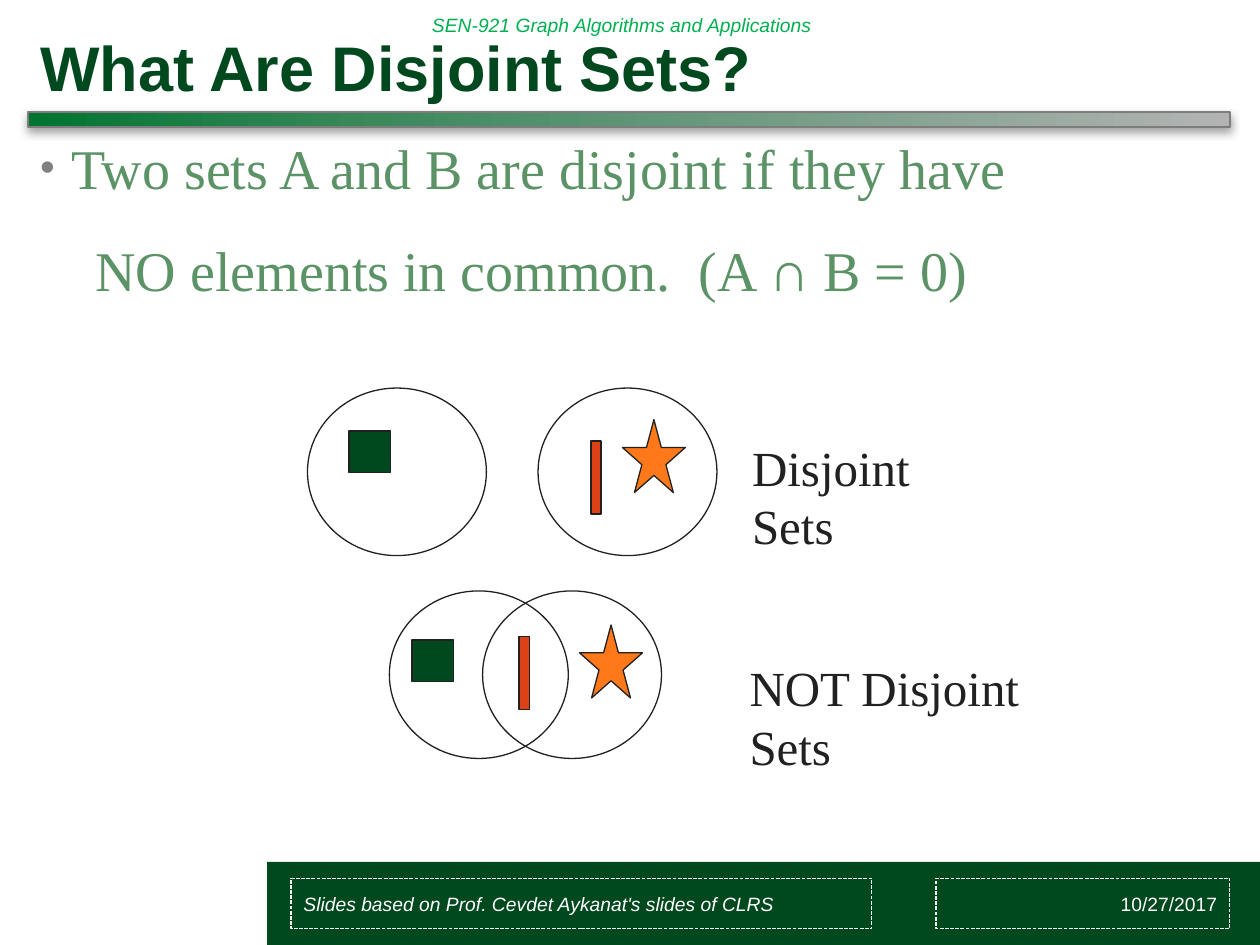
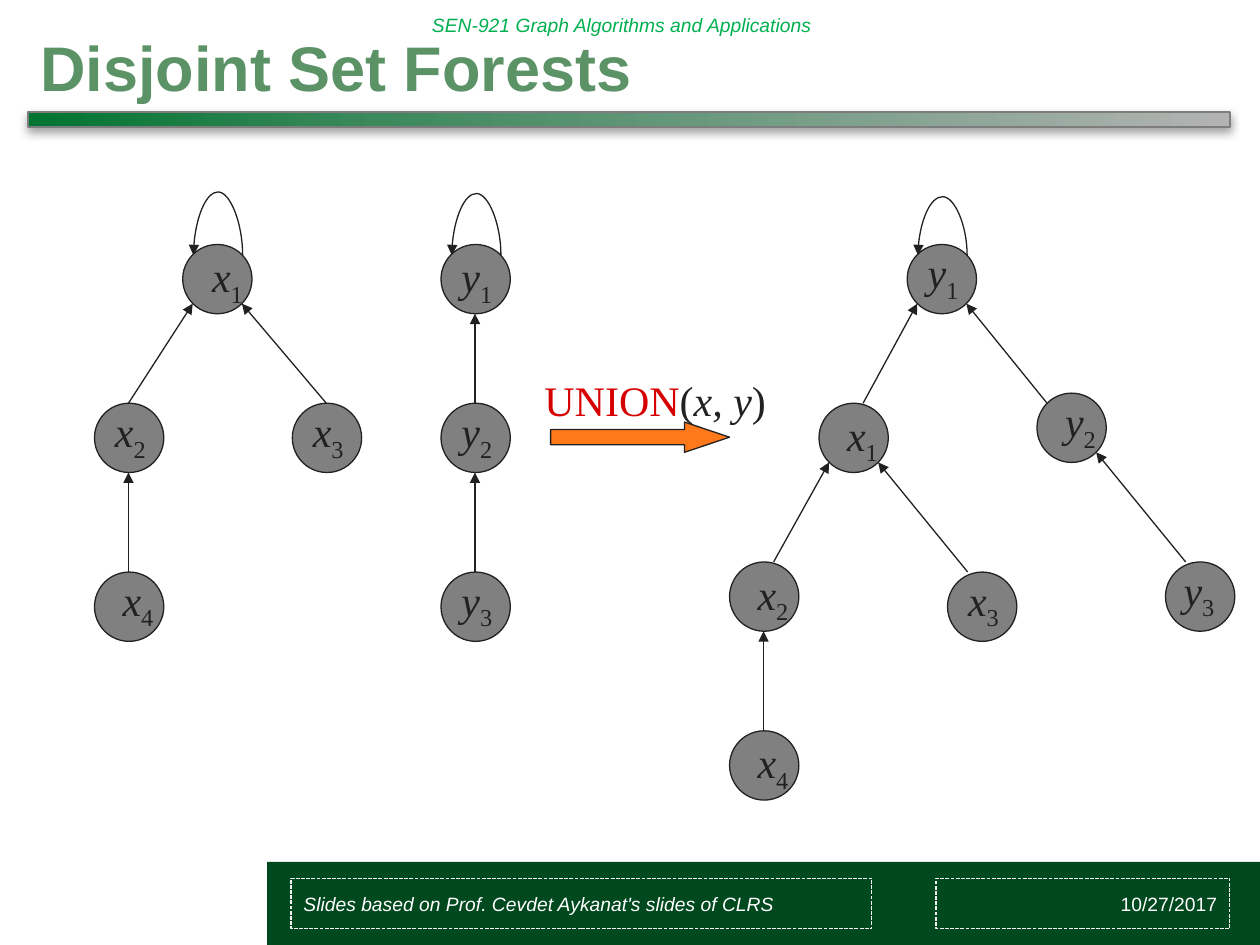
from lxml import etree
from pptx import Presentation
from pptx import util as u
from pptx.dml.color import RGBColor
from pptx.enum import dml, shapes, text
from pptx.oxml import ns

COLORS = {
    "forest": "00481E", "sage": "5B9266", "course": "00B050", "ink": "212121",
    "gray": "808080", "rule_edge": "7D7D7D", "dash": "F2F2F2", "white": "FFFFFF",
    "bar": "DD4216", "orange": "FF7819", "union": "D60000",
}
RULE_STOPS = [(0, "007430"), (29, "3C895C"), (100, "B3B3B3")]
SANS, SERIF = "Arial", "Times New Roman"
MARGIN, CONTENT_WIDTH = 0.22, 9.54
KIND = shapes.MSO_SHAPE
ALIGN = text.PP_ALIGN

NODE = 0.55
LABEL_WIDTH = 0.85
ANCHORS = {
    "top": (0.27, 0), "top right": (0.35, 0), "top left": (0.16, 0), "upper left": (0.08, 0.08),
    "bottom": (0.27, 0.55), "lower left": (0.08, 0.47), "lower right": (0.47, 0.47),
}
CENTERED, RAISED, SHIFTED, LOW = (-0.14, -0.03), (-0.08, -0.03), (-0.08, 0), (-0.14, 0)


def rgb(name):
    return RGBColor.from_string(COLORS[name])


def inches(*lengths):
    return [u.Inches(length) for length in lengths]


def add_xml(parent, tag, **attributes):
    return etree.SubElement(parent, ns.qn(tag), attributes)


def style_font(font, size, face, color, bold=False, italic=False):
    font.size, font.name = u.Pt(size), face
    font.bold, font.italic = bold, italic
    font.color.rgb = rgb(color)


def add_shape(slide, kind, box, fill=None, line="ink", width=0.75):
    shape = slide.shapes.add_shape(kind, *inches(*box))
    shape.shadow.inherit = False
    if fill:
        shape.fill.solid()
        shape.fill.fore_color.rgb = rgb(fill)
    else:
        shape.fill.background()
    if line:
        shape.line.color.rgb = rgb(line)
        shape.line.width = u.Pt(width)
    else:
        shape.line.fill.background()
    return shape


def write(frame, wording, size, face, color, align=ALIGN.LEFT, anchor=text.MSO_ANCHOR.MIDDLE, **emphasis):
    frame.word_wrap = True
    frame.vertical_anchor = anchor
    paragraph = frame.paragraphs[0]
    paragraph.text = wording
    paragraph.alignment = align
    style_font(paragraph.font, size, face, color, **emphasis)
    return paragraph


def add_text(slide, box, wording, size, face, color, **options):
    frame = slide.shapes.add_textbox(*inches(*box)).text_frame
    return write(frame, wording, size, face, color, **options)


def add_rule(slide, box):
    rule = add_shape(slide, KIND.RECTANGLE, box, "gray", "rule_edge", 1)
    rule.fill.gradient()
    rule.fill.gradient_angle = 0
    properties = rule.element.spPr
    stops = properties.find(".//" + ns.qn("a:gsLst"))
    for stop in list(stops):
        stops.remove(stop)
    for position, color in RULE_STOPS:
        stop = add_xml(stops, "a:gs", pos=str(position * 1000))
        add_xml(stop, "a:srgbClr", val=color)
    effects = properties.find(ns.qn("a:effectLst"))
    shadow = add_xml(effects, "a:outerShdw", blurRad=str(u.Pt(5)), dist=str(u.Pt(2)),
                     dir="5400000", algn="ctr", rotWithShape="0")
    shade = add_xml(shadow, "a:srgbClr", val=COLORS["gray"])
    add_xml(shade, "a:alpha", val="75000")


def add_header(slide, title, color):
    add_text(slide, (3.33, 0, 4.61, 0.4), "SEN-921 Graph Algorithms and Applications",
             11, SANS, "course", italic=True)
    add_rule(slide, (MARGIN, 0.89, CONTENT_WIDTH, 0.12))
    heading = slide.shapes.title
    heading.left, heading.top, heading.width, heading.height = inches(MARGIN, 0.16, CONTENT_WIDTH, 0.73)
    write(heading.text_frame, title, 36, SANS, color, bold=True)


def add_footer(slide, left, top):
    add_shape(slide, KIND.RECTANGLE, (left, top, 10 - left, 0.67), "forest", None)
    for offset, width, wording, align, italic in (
        (5.31, 2.33, "10/27/2017", ALIGN.RIGHT, False),
        (0.19, 4.61, "Slides based on Prof. Cevdet Aykanat's slides of CLRS", ALIGN.LEFT, True),
    ):
        field = add_shape(slide, KIND.RECTANGLE, (left + offset, top + 0.13, width, 0.4), line="dash")
        field.line.dash_style = dml.MSO_LINE.SQUARE_DOT
        write(field.text_frame, wording, 11, SANS, "white", align=align, italic=italic)


def start_slide(deck, title, color):
    slide = deck.slides.add_slide(deck.slide_layouts[5])
    add_header(slide, title, color)
    add_footer(slide, 2.12, 6.84)
    return slide


def add_definition(slide, box):
    frame = slide.shapes.add_textbox(*inches(*box)).text_frame
    statement = write(frame, "Two sets A and B are disjoint if they have", 32, SERIF, "sage",
                      anchor=text.MSO_ANCHOR.TOP)
    condition = frame.add_paragraph()
    condition.text = "NO elements in common.  (A ∩ B = 0)"
    style_font(condition.font, 32, SERIF, "sage")
    for paragraph, margin, indent in ((statement, 0.25, -0.25), (condition, 0.44, 0)):
        paragraph.space_before = u.Pt(20)
        properties = paragraph._p.get_or_add_pPr()
        properties.set("marL", str(u.Inches(margin)))
        properties.set("indent", str(u.Inches(indent)))
    properties = statement._p.pPr
    bullet = [etree.Element(ns.qn(tag)) for tag in ("a:buClr", "a:buSzPct", "a:buFont", "a:buChar")]
    add_xml(bullet[0], "a:srgbClr", val=COLORS["gray"])
    bullet[1].set("val", "75000")
    bullet[2].set("typeface", SANS)
    bullet[3].set("char", "•")
    position = list(properties).index(properties.find(ns.qn("a:spcBef"))) + 1
    properties[position:position] = bullet


def add_set_pair(slide, left, top, spacing, members, caption, caption_box):
    for step in range(2):
        add_shape(slide, KIND.OVAL, (left + step * spacing, top, 1.42, 1.33))
    looks = (
        (KIND.RECTANGLE, 0.33, 0.33, "forest"),
        (KIND.RECTANGLE, 0.08, 0.58, "bar"),
        (KIND.STAR_5_POINT, 0.5, 0.58, "orange"),
    )
    for (dx, dy), (kind, width, height, color) in zip(members, looks):
        add_shape(slide, kind, (left + dx, top + dy, width, height), color)
    add_text(slide, caption_box, caption, 28, SERIF, "ink", anchor=text.MSO_ANCHOR.TOP)


def finish_arrow(arrow):
    arrow.line.color.rgb = rgb("ink")
    arrow.line.width = u.Pt(0.75)
    add_xml(arrow.line._get_or_add_ln(), "a:tailEnd", type="triangle")
    add_xml(arrow.element.spPr, "a:effectLst")


def add_self_loop(slide, node_x, node_y, reach):
    left, top = inches(node_x + 0.28, node_y - 0.11)
    thickness, span = u.Emu(1588), u.Inches(0.39)
    loop = slide.shapes.add_connector(shapes.MSO_CONNECTOR.CURVE, left + thickness, top + span, left, top)
    properties = loop.element.spPr
    properties.find(ns.qn("a:xfrm")).set("rot", "16200000")
    geometry = properties.find(ns.qn("a:prstGeom"))
    guides = geometry.find(ns.qn("a:avLst"))
    if guides is None:
        guides = add_xml(geometry, "a:avLst")
    add_xml(guides, "a:gd", name="adj1", fmla=f"val {-reach * 100000}")
    finish_arrow(loop)


def add_tree(slide, left, top, nodes, edges, root, reach):
    for x, y, _ in nodes.values():
        add_shape(slide, KIND.OVAL, (left + x, top + y, NODE, NODE), "gray")
    for child, start, parent, end in edges:
        points = []
        for name, anchor in ((child, start), (parent, end)):
            x, y, _ = nodes[name]
            dx, dy = ANCHORS[anchor]
            points += inches(left + x + dx, top + y + dy)
        finish_arrow(slide.shapes.add_connector(shapes.MSO_CONNECTOR.STRAIGHT, *points))
    root_x, root_y, _ = nodes[root]
    add_self_loop(slide, left + root_x, top + root_y, reach)
    for name, (x, y, (dx, dy)) in nodes.items():
        label = add_text(slide, (left + x + dx, top + y + dy, LABEL_WIDTH, 0.5), name[0], 24, SERIF, "ink",
                         align=ALIGN.CENTER, anchor=text.MSO_ANCHOR.TOP)
        label.runs[0].font.italic = True
        subscript = label.add_run()
        subscript.text = name[1]
        subscript.font._element.set("baseline", "-25000")


def add_union(slide, left, top):
    arrow = add_shape(slide, KIND.RIGHT_ARROW, (left + 0.15, top + 0.43, 1.42, 0.24), "orange")
    arrow.adjustments[0], arrow.adjustments[1] = 0.5, 1.49
    frame = slide.shapes.add_textbox(*inches(left, top, 1.96, 0.5)).text_frame
    frame.word_wrap = False
    call = frame.paragraphs[0]
    call.alignment = ALIGN.CENTER
    for wording, color, italic in (("UNION", "union", False), ("(", "ink", False),
                                   ("x, y", "ink", True), (")", "ink", False)):
        run = call.add_run()
        run.text = wording
        style_font(run.font, 24, SERIF, color, italic=italic)


def build_definition_slide(deck):
    slide = start_slide(deck, "What Are Disjoint Sets?", "forest")
    add_definition(slide, (MARGIN, 1.01, CONTENT_WIDTH, 5.69))
    add_set_pair(slide, 2.44, 3.08, 1.83, [(0.33, 0.34), (2.25, 0.42), (2.5, 0.25)],
                 "Disjoint Sets", (5.87, 3.42, 1.91, 0.5))
    add_set_pair(slide, 3.09, 4.69, 0.74, [(0.18, 0.39), (1.03, 0.36), (1.51, 0.27)],
                 "NOT Disjoint Sets", (5.85, 5.17, 2.68, 0.5))


def build_forest_slide(deck):
    slide = start_slide(deck, "Disjoint Set Forests", "sage")
    add_tree(slide, 0.75, 1.94, {
        "x1": (0.7, 0, (-0.07, 0)), "x2": (0, 1.26, CENTERED),
        "x3": (1.57, 1.26, CENTERED), "x4": (0, 2.6, RAISED),
    }, [
        ("x2", "top", "x1", "lower left"), ("x3", "top", "x1", "lower right"),
        ("x4", "top", "x2", "bottom"),
    ], "x1", 318)
    add_tree(slide, 3.5, 1.94, {
        "y1": (0, 0, LOW), "y2": (0, 1.26, CENTERED), "y3": (0, 2.6, CENTERED),
    }, [("y2", "top", "y1", "bottom"), ("y3", "top", "y2", "bottom")], "y1", 310)
    add_union(slide, 4.22, 2.92)
    add_tree(slide, 5.79, 1.94, {
        "y1": (1.41, 0, CENTERED), "y2": (2.44, 1.18, RAISED), "y3": (3.46, 2.52, (-0.16, -0.03)),
        "x1": (0.71, 1.26, SHIFTED), "x2": (0, 2.52, SHIFTED),
        "x3": (1.73, 2.6, CENTERED), "x4": (0, 3.86, SHIFTED),
    }, [
        ("x1", "top right", "y1", "lower left"), ("y2", "upper left", "y1", "lower right"),
        ("x2", "top right", "x1", "lower left"), ("x3", "top left", "x1", "lower right"),
        ("x4", "top", "x2", "bottom"), ("y3", "top left", "y2", "lower right"),
    ], "y1", 294)


def main():
    deck = Presentation()
    deck.slide_width, deck.slide_height = inches(10, 7.5)
    build_definition_slide(deck)
    build_forest_slide(deck)
    deck.save("out.pptx")


if __name__ == "__main__":
    main()
